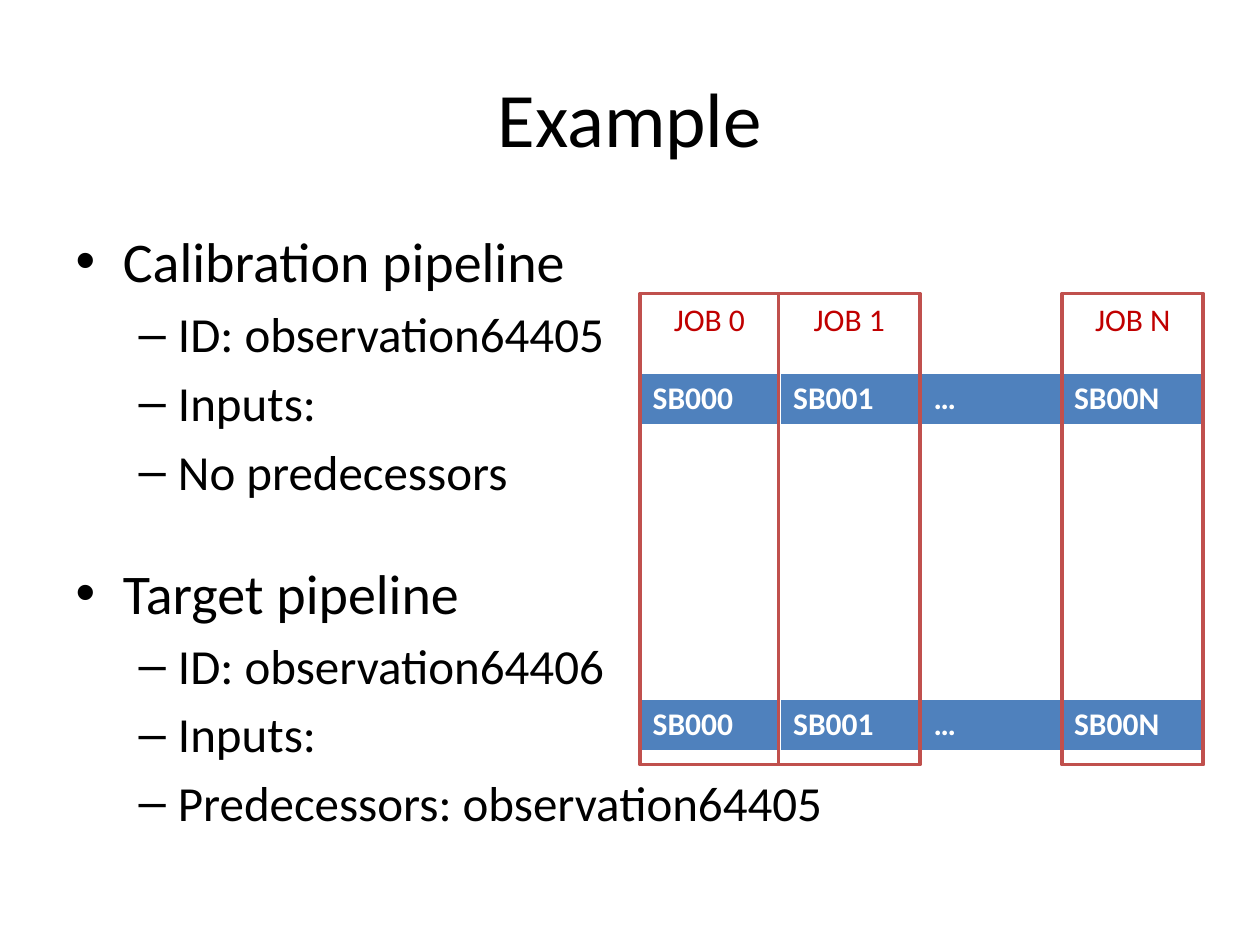
from pptx import Presentation
from pptx.dml.color import RGBColor
from pptx.enum.shapes import MSO_SHAPE
from pptx.enum.text import MSO_ANCHOR, MSO_AUTO_SIZE, PP_ALIGN
from pptx.util import Inches, Pt

COLORS = {"text": "000000", "band": "4F81BD", "band_text": "FFFFFF",
          "job_line": "C0504D", "job_text": "C00000"}


def style_text(paragraph, size, color, bold=False):
    """Format every run of a paragraph."""
    for span in paragraph.runs:
        span.font.name = "Calibri"
        span.font.size = Pt(size)
        span.font.bold = bold
        span.font.color.rgb = RGBColor.from_string(COLORS[color])


deck = Presentation()
deck.slide_width, deck.slide_height = Inches(10), Inches(7.5)
two_content = deck.slide_layouts[3]
page = deck.slides.add_slide(two_content)

# Title
title = page.shapes.title
title.left, title.top = Inches(0.5), Inches(0.3)
title.width, title.height = Inches(9), Inches(1.25)
title.text_frame.text = "Example"
style_text(title.text_frame.paragraphs[0], 44, "text")

# Pipeline lists
pipelines = [
    (1, 1.75, ["Calibration pipeline", "ID: observation64405", "Inputs: ", "No predecessors"]),
    (2, 4.38, ["Target pipeline", "ID: observation64406", "Inputs: ",
               "Predecessors: observation64405"]),
]
for index, top, lines in pipelines:
    body = page.placeholders[index]
    body.left, body.top = Inches(0.5), Inches(top)
    body.width, body.height = Inches(9), Inches(2.45)
    frame = body.text_frame
    frame.text = "\n".join(lines)
    frame.auto_size = MSO_AUTO_SIZE.NONE
    for number, para in enumerate(frame.paragraphs):
        para.level = 1 if number else 0
        style_text(para, 28 if number else 32, "text")

# Subband tables
for top in (2.96, 5.55):
    table = page.shapes.add_table(1, 4, Inches(5.08), Inches(top),
                                  Inches(4.46), Inches(0.41)).table
    for cell, label in zip(table.iter_cells(), ["SB000", "SB001", "…", "SB00N"]):
        cell.text_frame.text = label
        cell.fill.solid()
        cell.fill.fore_color.rgb = RGBColor.from_string(COLORS["band"])
        style_text(cell.text_frame.paragraphs[0], 18, "band_text", bold=True)

# Job frames across both tables
for label, left, width in [("JOB 0", 5.08, 1.1), ("JOB 1", 6.18, 1.12), ("JOB N", 8.43, 1.12)]:
    job = page.shapes.add_shape(MSO_SHAPE.RECTANGLE, Inches(left), Inches(2.33),
                                Inches(width), Inches(3.74))
    job.shadow.inherit = False
    job.fill.background()
    job.line.color.rgb = RGBColor.from_string(COLORS["job_line"])
    job.line.width = Pt(2)
    job.text_frame.text = label
    job.text_frame.word_wrap = True
    job.text_frame.vertical_anchor = MSO_ANCHOR.TOP
    para = job.text_frame.paragraphs[0]
    para.alignment = PP_ALIGN.CENTER
    style_text(para, 18, "job_text")

deck.save("out.pptx")
